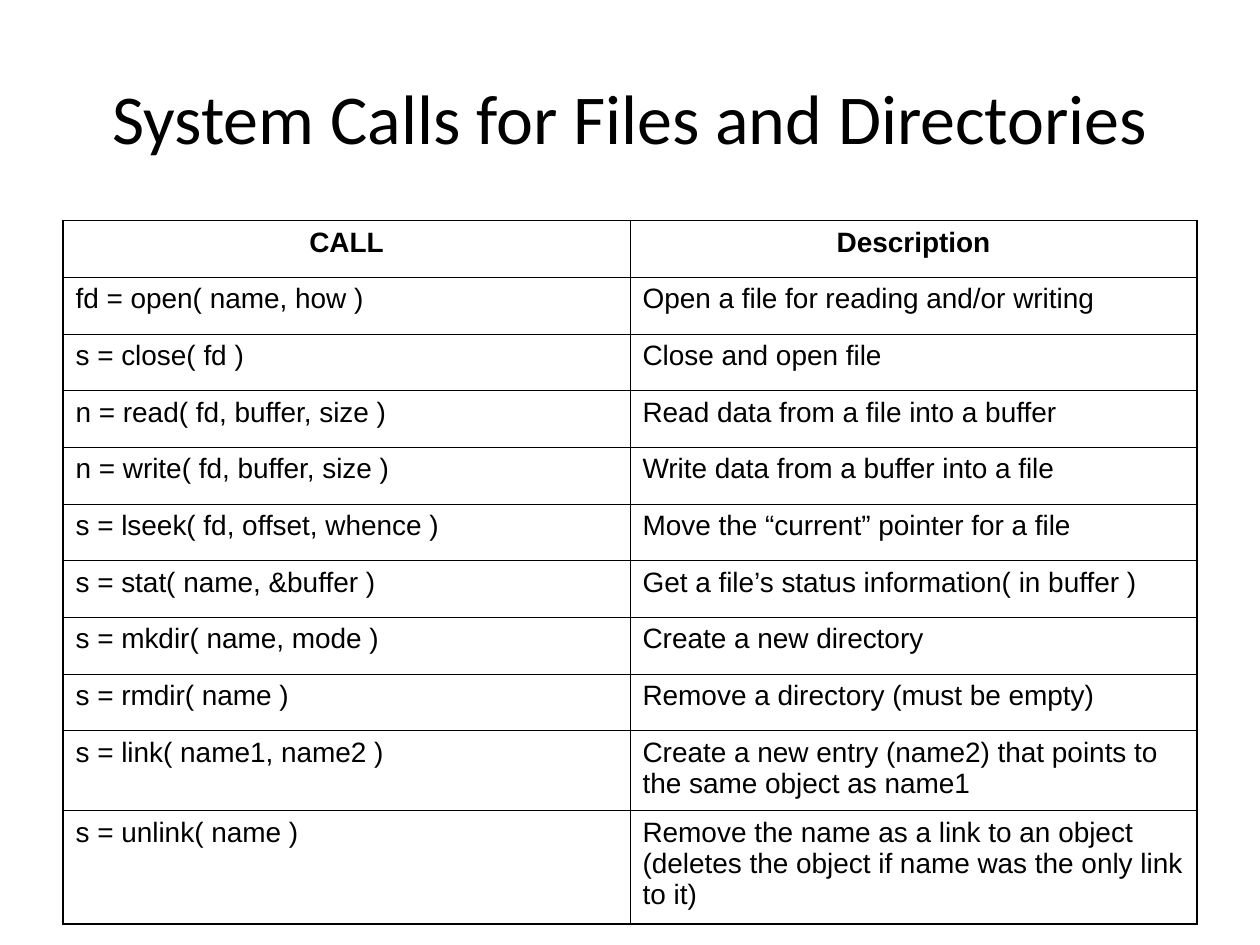
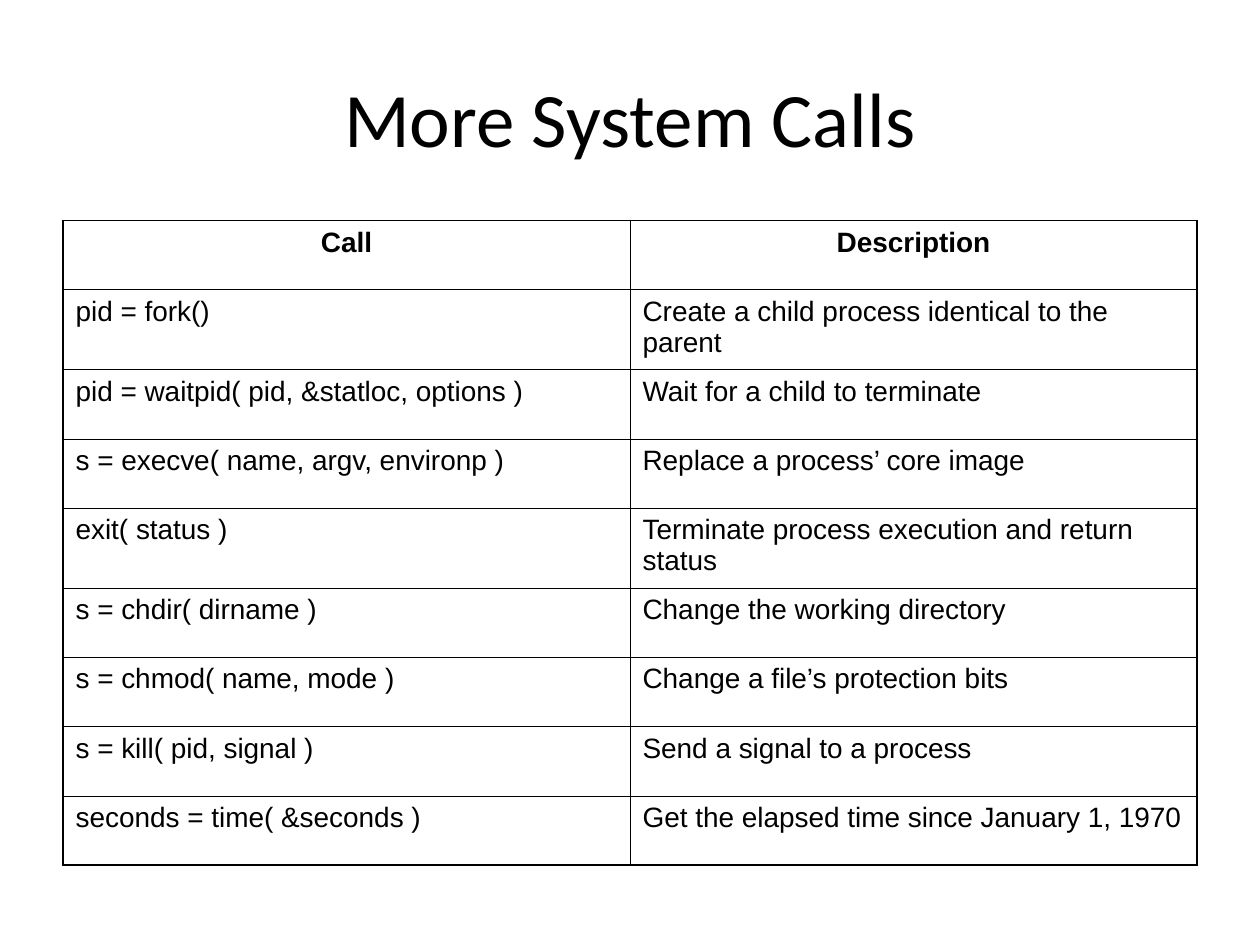
import pptx
import pptx.dml.color
import pptx.enum.text
import pptx.oxml
import pptx.oxml.ns
import pptx.util
from pptx.util import Inches

COLORS = {"background": "FFFFFF", "text": "000000", "border": "000000"}
TITLE_FONT, TABLE_FONT = "Calibri", "Arial"
LEFT, WIDTH = 0.5, 9
OUTER_LINE, INNER_LINE = 1.08, 0.45
CENTER = pptx.enum.text.PP_ALIGN.CENTER
LEFT_ALIGN = pptx.enum.text.PP_ALIGN.LEFT

FILE_CALLS = [
    ("CALL", "Description"),
    ("fd = open( name, how )", "Open a file for reading and/or writing"),
    ("s = close( fd )", "Close and open file"),
    ("n = read( fd, buffer, size )", "Read data from a file into a buffer"),
    ("n = write( fd, buffer, size )", "Write data from a buffer into a file"),
    ("s = lseek( fd, offset, whence )", "Move the “current” pointer for a file"),
    ("s = stat( name, &buffer )", "Get a file’s status information( in buffer )"),
    ("s = mkdir( name, mode )", "Create a new directory"),
    ("s = rmdir( name )", "Remove a directory (must be empty)"),
    ("s = link( name1, name2 )",
     "Create a new entry (name2) that points to the same object as name1"),
    ("s = unlink( name )",
     "Remove the name as a link to an object "
     "(deletes the object if name was the only link to it)"),
]
PROCESS_CALLS = [
    ("Call", "Description"),
    ("pid = fork()", "Create a child process identical to the parent"),
    ("pid = waitpid( pid, &statloc, options )", "Wait for a child to terminate"),
    ("s = execve( name, argv, environp )", "Replace a process’ core image"),
    ("exit( status )", "Terminate process execution and return status"),
    ("s = chdir( dirname )", "Change the working directory"),
    ("s = chmod( name, mode )", "Change a file’s protection bits"),
    ("s = kill( pid, signal )", "Send a signal to a process"),
    ("seconds = time( &seconds )", "Get the elapsed time since January 1, 1970"),
]


def rgb(name):
    return pptx.dml.color.RGBColor.from_string(COLORS[name])


def write_text(frame, text, font, size, align, bold=False):
    frame.text = text
    para = frame.paragraphs[0]
    para.alignment = align
    span = para.runs[0]
    span.font.name = font
    span.font.size = pptx.util.Pt(size)
    span.font.bold = bold
    span.font.color.rgb = rgb("text")
    return para


def add_page(deck, title, size):
    page = deck.slides.add_slide(deck.slide_layouts[6])
    page.background.fill.solid()
    page.background.fill.fore_color.rgb = rgb("background")
    box = page.shapes.add_textbox(Inches(LEFT), Inches(0.3), Inches(WIDTH), Inches(1.25))
    frame = box.text_frame
    frame.word_wrap = True
    frame.vertical_anchor = pptx.enum.text.MSO_ANCHOR.MIDDLE
    write_text(frame, title, TITLE_FONT, size, CENTER)
    return page


def set_borders(cell, outer_sides):
    properties = cell._tc.get_or_add_tcPr()
    for side in "LRTB":
        width = pptx.util.Pt(OUTER_LINE if side in outer_sides else INNER_LINE)
        properties.append(pptx.oxml.parse_xml(
            f'<a:ln{side} {pptx.oxml.ns.nsdecls("a")} w="{width}"><a:solidFill>'
            f'<a:srgbClr val="{COLORS["border"]}"/></a:solidFill></a:ln{side}>'))


def add_call_table(page, calls, row_height, tall_rows):
    heights = [tall_rows.get(index, row_height) for index in range(len(calls))]
    table = page.shapes.add_table(
        len(calls), 2, Inches(LEFT), Inches(1.75), Inches(WIDTH), Inches(sum(heights))).table
    table.first_row = False
    table.horz_banding = False
    last_row = len(calls) - 1
    for row_index, (call, height) in enumerate(zip(calls, heights)):
        table.rows[row_index].height = Inches(height)
        is_header = row_index == 0
        row_sides = ("T" if is_header else "") + ("B" if row_index == last_row else "")
        for column_index, text in enumerate(call):
            cell = table.cell(row_index, column_index)
            set_borders(cell, row_sides + "LR"[column_index])
            cell.fill.background()
            para = write_text(cell.text_frame, text, TABLE_FONT, 16,
                              CENTER if is_header else LEFT_ALIGN, is_header)
            para.space_before = pptx.util.Pt(4)


def main():
    deck = pptx.Presentation()
    deck.slide_width, deck.slide_height = Inches(10), Inches(7.5)
    page = add_page(deck, "System Calls for Files and Directories", 40)
    add_call_table(page, FILE_CALLS, 0.45, {9: 0.63, 10: 0.9})
    page = add_page(deck, "More System Calls", 44)
    add_call_table(page, PROCESS_CALLS, 0.55, {1: 0.63, 4: 0.63})
    deck.save("out.pptx")


if __name__ == "__main__":
    main()
